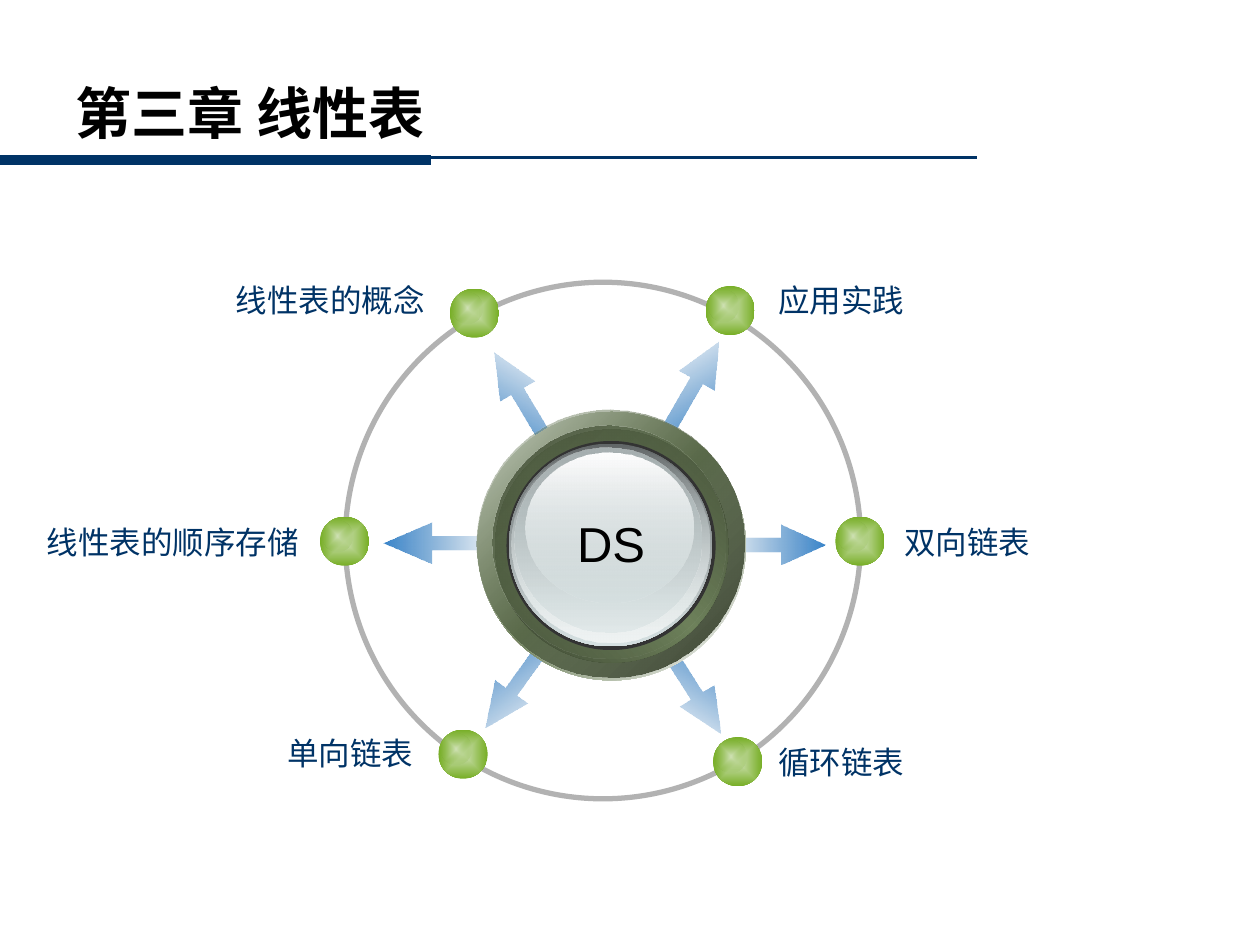
from pptx import Presentation
from pptx.dml.color import RGBColor
from pptx.enum.shapes import MSO_CONNECTOR as Link, MSO_SHAPE as Kind
from pptx.enum.text import MSO_ANCHOR as Anchor, MSO_AUTO_SIZE as Fit, PP_ALIGN as Align
from pptx.oxml import parse_xml
from pptx.oxml.ns import nsdecls
from pptx.util import Inches, Pt

HUES = {
    "ink": "000000", "navy": "003366", "ring": "B2B2B2", "blue": "3984C9", "sea": "3275B2",
    "lime": "D0E2B5", "leaf": "77AE26", "white": "FEFEFE", "moss": "6E815B", "dark": "323B29",
    "wood": "3B4531", "pine": "455139", "coal": "333333", "slate": "626768", "mist": "D6E1E2",
    "pale": "EFF3F3", "steel": "A8B1B2",
}
COLS, ROWS = 1000, 750

NODES = [
    ("应用实践", (286, 3), (334, -6), Align.LEFT, 125),
    ("双向链表", (389, 186), (434, 186), Align.LEFT, 125),
    ("循环链表", (292, 361), (334, 361), Align.LEFT, 125),
    ("单向链表", (74, 355), (-61, 354), Align.RIGHT, 125),
    ("线性表的顺序存储", (-20, 186), (-252, 186), Align.RIGHT, 225),
    ("线性表的概念", (83, 5), (-102, -6), Align.RIGHT, 175),
]
ARROWS = [
    (231, 69, 87, 299.6), (231, 305, 87, 57.8), (97, 77, 87, 239.5),
    (93, 302, 87, 125.6), (294, 192, 87, 0), (30, 191, 94, 180),
]
DISCS = [
    (1, 2, 213, 213, 225, [(0, "white"), (50, "moss"), (100, "white")]),
    (0, 0, 213, 213, 225, [(0, "dark"), (100, "moss", 32)]),
    (15, 16, 185, 185, 135, [(0, "wood"), (50, "moss"), (100, "wood")]),
    (13, 13, 185, 185, 225, [(0, "moss", 0), (100, "pine")]),
    (24, 25, 166, 166, 0, [(0, "coal"), (100, "coal")]),
    (26, 27, 161, 161, 90, [(0, "slate"), (100, "mist")]),
    (28, 28, 157, 157, 90, [(0, "mist", 0), (100, "pale")]),
    (30, 30, 149, 147, 90, [(0, "steel"), (100, "mist", 48)]),
    (39, 34, 133, 119, 90, [(0, "white"), (100, "mist", 38)]),
]


def hue(name):
    return RGBColor.from_string(HUES[name])


def place(box, x, y, w, h):
    return box[0] + x, box[1] + y, w, h


def span(box):
    return [Inches(10 * n / COLS) for n in box]


def shade(shape, stops, angle=None):
    marks = ""
    for pos, name, *alpha in stops:
        veil = f'<a:alpha val="{alpha[0] * 1000}"/>' if alpha else ""
        marks += f'<a:gs pos="{pos * 1000}"><a:srgbClr val="{HUES[name]}">{veil}</a:srgbClr></a:gs>'
    if angle is None:
        form = '<a:path path="rect"><a:fillToRect l="50000" t="50000" r="50000" b="50000"/></a:path>'
    else:
        form = f'<a:lin ang="{round(angle * 60000)}" scaled="0"/>'
    fill = f'<a:gradFill {nsdecls("a")} rotWithShape="0"><a:gsLst>{marks}</a:gsLst>{form}</a:gradFill>'
    shape._element.spPr.prstGeom.addnext(parse_xml(fill))


def draw(shapes, kind, box):
    shape = shapes.add_shape(kind, *span(box))
    shape.shadow.inherit = False
    shape.line.fill.background()
    return shape


def write(slide, box, text, size, color, align):
    label = slide.shapes.add_textbox(*span(box))
    frame = label.text_frame
    frame.word_wrap = False
    frame.auto_size = Fit.SHAPE_TO_FIT_TEXT
    para = frame.paragraphs[0]
    para.text, para.alignment = text, align
    para.font.name, para.font.size = "Arial", Pt(size)
    para.font.color.rgb = hue(color)


def head(slide, box, text):
    for right, drop, width in ((775, 67, 1.5), (342, 69, 6)):
        x, y, w, _ = span(place(box, 0, drop, right, 0))
        rule = slide.shapes.add_connector(Link.STRAIGHT, x, y, x + w, y)
        rule.line.color.rgb, rule.line.width = hue("navy"), Pt(width)
        rule._element.spPr.append(parse_xml(f'<a:effectLst {nsdecls("a")}/>'))
    title = slide.shapes.title
    title.left, title.top, title.width, title.height = span(place(box, 50, 0, 842, 62))
    frame = title.text_frame
    frame.vertical_anchor, frame.auto_size = Anchor.MIDDLE, Fit.NONE
    para = frame.paragraphs[0]
    para.text, para.alignment = text, Align.LEFT
    para.font.name, para.font.size, para.font.bold = "DejaVu Sans", Pt(32), True
    para.font.color.rgb = hue("ink")


def arrow(slide, box, turn):
    shape = draw(slide.shapes, Kind.RIGHT_ARROW, box)
    shape.rotation = turn
    shape.adjustments[0], shape.adjustments[1] = 0.35, 1.11 * box[2] / 87
    shade(shape, [(0, "blue"), (100, "sea", 0)], (180 - turn) % 360)


def ball(slide, box):
    group = slide.shapes.add_group_shape()
    shade(draw(group.shapes, Kind.OVAL, box), [(0, "lime"), (100, "leaf")])
    shine = draw(group.shapes, Kind.OVAL, place(box, 2, 3, 24, 25))
    shade(shine, [(0, "lime"), (100, "leaf", 0)])


def hub(slide, box, text):
    for x, y, w, h, angle, stops in DISCS:
        shade(draw(slide.shapes, Kind.OVAL, place(box, x, y, w, h)), stops, angle)
    write(slide, place(box, 70, 78, 74, 57), text, 28, "ink", Align.CENTER)


def wheel(slide, box):
    for x, y, w, turn in ARROWS:
        arrow(slide, place(box, x, y, w, 32), turn)
    ring = draw(slide.shapes, Kind.OVAL, box)
    ring.fill.background()
    ring.line.color.rgb, ring.line.width = hue("ring"), Pt(3)
    for _, spot, _, _, _ in NODES:
        ball(slide, place(box, *spot, 39, 39))
    hub(slide, place(box, 104, 101, 213, 213), "DS")
    for text, _, spot, align, width in NODES:
        write(slide, place(box, *spot, width, 40), text, 18, "navy", align)


def main():
    deck = Presentation()
    deck.slide_width, deck.slide_height = span((COLS, ROWS))
    slide = deck.slides.add_slide(deck.slide_layouts[5])
    head(slide, (0, 58, COLS, 75), "第三章 线性表")
    wheel(slide, (274, 224, 409, 410))
    deck.save("out.pptx")


if __name__ == "__main__":
    main()
